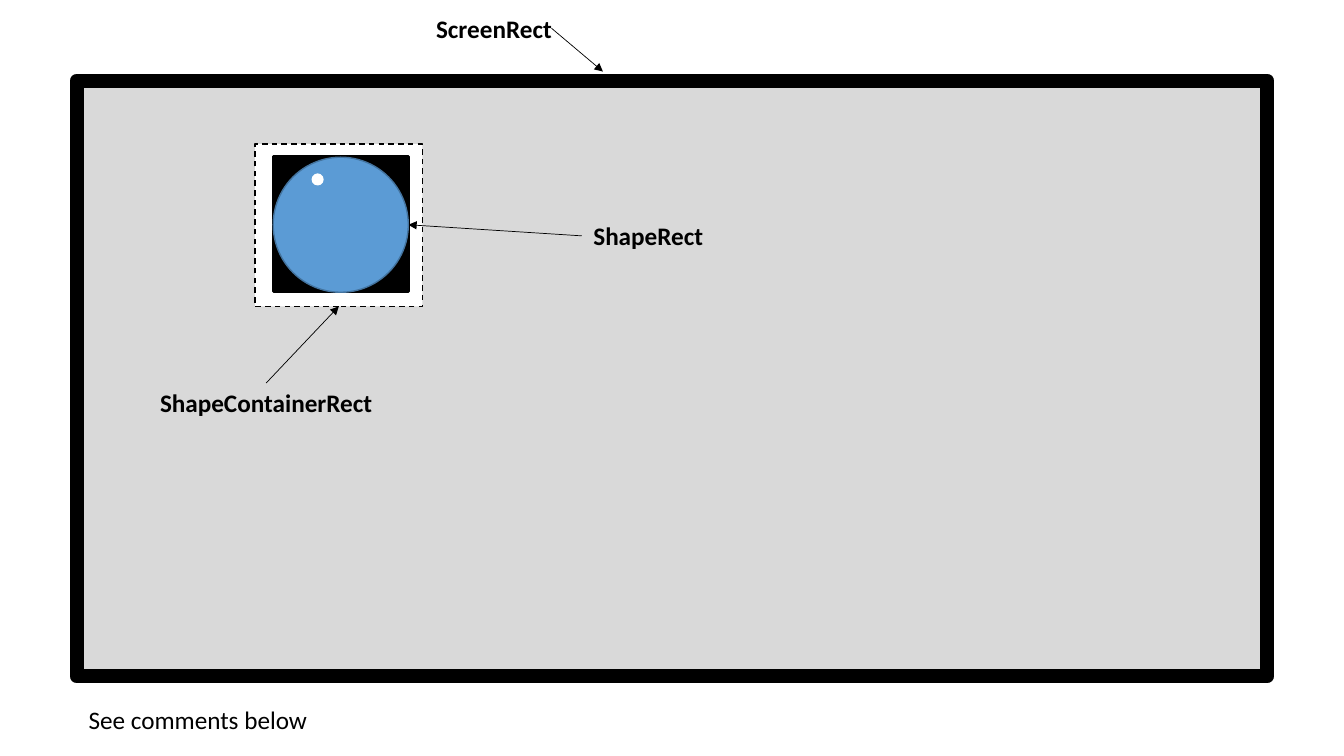
"""Builds a slide that names the nested rectangles around a shape on a screen."""
from dataclasses import dataclass

from lxml.etree import SubElement
from pptx import Presentation
from pptx.dml.color import RGBColor as Color
from pptx.enum.dml import MSO_LINE as Dash
from pptx.enum.shapes import MSO_CONNECTOR as Link, MSO_SHAPE as Form
from pptx.enum.text import MSO_AUTO_SIZE as Fit, PP_ALIGN as Align
from pptx.oxml.ns import qn
from pptx.util import Inches, Pt


@dataclass(frozen=True)
class Theme:
    ink: str = "000000"
    paper: str = "FFFFFF"
    screen: str = "D9D9D9"
    ball: str = "5B9BD5"
    ball_edge: str = "43739E"
    font: str = "Calibri"
    text_size: float = 18
    arrow_width: float = 0.5


def apply(target, formats):
    for name, value in formats.items():
        setattr(target, name, value)


class Sketch:
    cell = Inches(0.1)

    def __init__(self, page, theme):
        self.page, self.theme = page, theme

    def grid(self, *cells):
        return [round(count * self.cell) for count in cells]

    def shape(self, form, area, fill, edge=None, width=1, dash=None):
        shape = self.page.shapes.add_shape(form, *self.grid(*area))
        shape.shadow.inherit = False
        shape.fill.solid()
        shape.fill.fore_color.rgb = Color.from_string(fill)
        if edge is None:
            shape.line.fill.background()
            return
        shape.line.color.rgb = Color.from_string(edge)
        apply(shape.line, {"width": Pt(width), "dash_style": dash})

    def arrow(self, start, end):
        arrow = self.page.shapes.add_connector(Link.STRAIGHT, *self.grid(*start, *end))
        arrow.line.color.rgb = Color.from_string(self.theme.ink)
        arrow.line.width = Pt(self.theme.arrow_width)
        SubElement(arrow.line._get_or_add_ln(), qn("a:tailEnd"), type="triangle")
        SubElement(arrow._element.spPr, qn("a:effectLst"))

    def text(self, words, area, bold=True, align=Align.CENTER, side=0, edge=0.4, wrap=True):
        box = self.page.shapes.add_textbox(*self.grid(*area))
        side, edge = self.grid(side, edge)
        apply(box.text_frame, {
            "margin_left": side, "margin_right": side, "margin_top": edge,
            "margin_bottom": edge, "word_wrap": wrap, "auto_size": Fit.SHAPE_TO_FIT_TEXT,
        })
        para = box.text_frame.paragraphs[0]
        para.alignment = align
        span = para.add_run()
        span.text = words
        apply(span.font, {"name": self.theme.font, "size": Pt(self.theme.text_size), "bold": bold})
        span.font.color.rgb = Color.from_string(self.theme.ink)


def main():
    deck = Presentation()
    apply(deck, {"slide_width": Inches(13.33), "slide_height": Inches(7.5)})
    theme = Theme()
    sketch = Sketch(deck.slides.add_slide(deck.slide_layouts[6]), theme)

    sketch.shape(Form.RECTANGLE, (7.6, 8, 118.1, 59.1), theme.screen, theme.ink, 10)
    sketch.shape(Form.RECTANGLE, (25.3, 14.3, 16.6, 16.1), theme.paper, theme.ink, 1, Dash.DASH)
    sketch.shape(Form.RECTANGLE, (27.1, 15.5, 13.4, 13.4), theme.ink, theme.ink, 2.25)

    callouts = [
        ("ScreenRect", (43.2, 0.9, 11.6, 3.8), (54.7, 2.8), (59.8, 7.1), False),
        ("ShapeContainerRect", (15.3, 38, 22.2, 3.8), (26.4, 38), (33.6, 30.4), True),
        ("ShapeRect", (57.7, 21.5, 13.2, 3.8), (57.7, 23.4), (40.5, 22.3), True),
    ]
    for words, area, start, end, wrap in callouts:
        sketch.arrow(start, end)
        sketch.text(words, area, wrap=wrap)
    sketch.text("See comments below", (7.8, 69.4, 24, 4), bold=False,
                align=Align.LEFT, side=1, edge=0.5, wrap=False)

    sketch.shape(Form.OVAL, (27.1, 15.6, 13.4, 13.4), theme.ball, theme.ball_edge)
    sketch.shape(Form.OVAL, (30.9, 17.2, 1.2, 1.2), theme.paper)
    deck.save("out.pptx")


if __name__ == "__main__":
    main()
